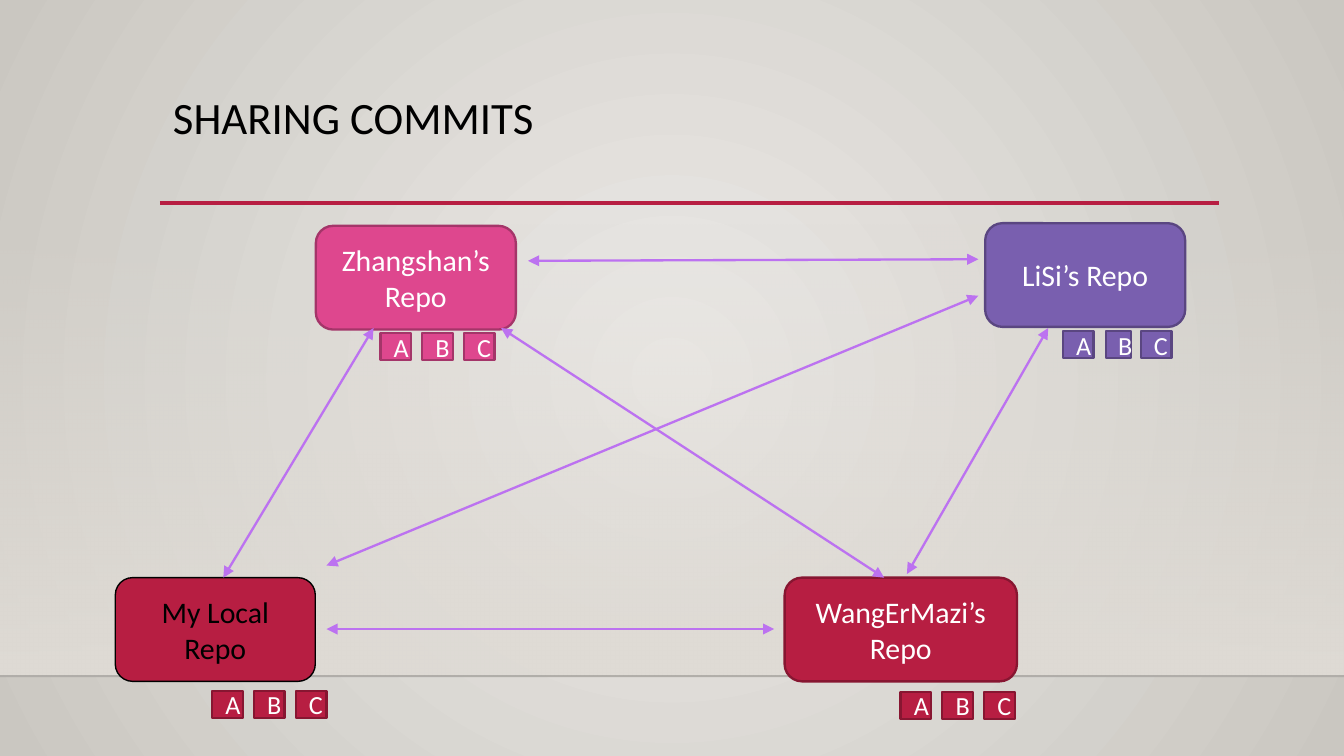
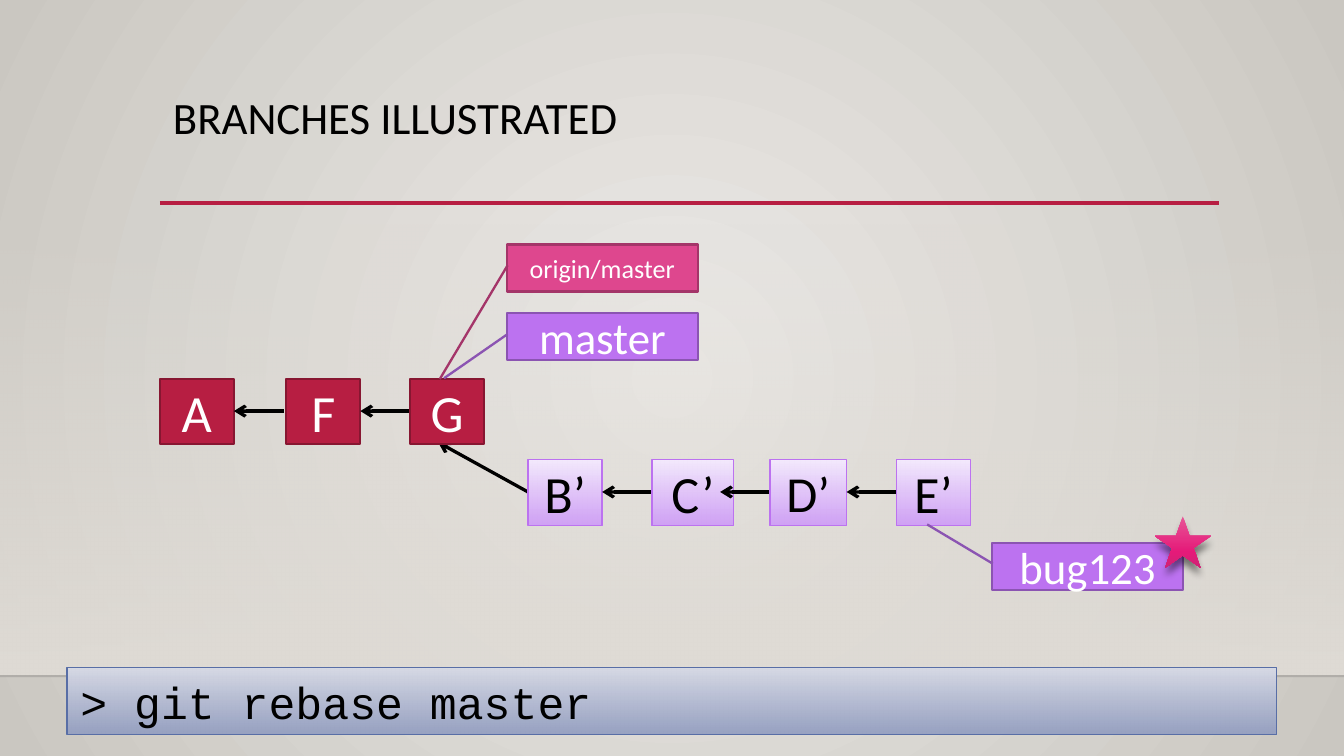
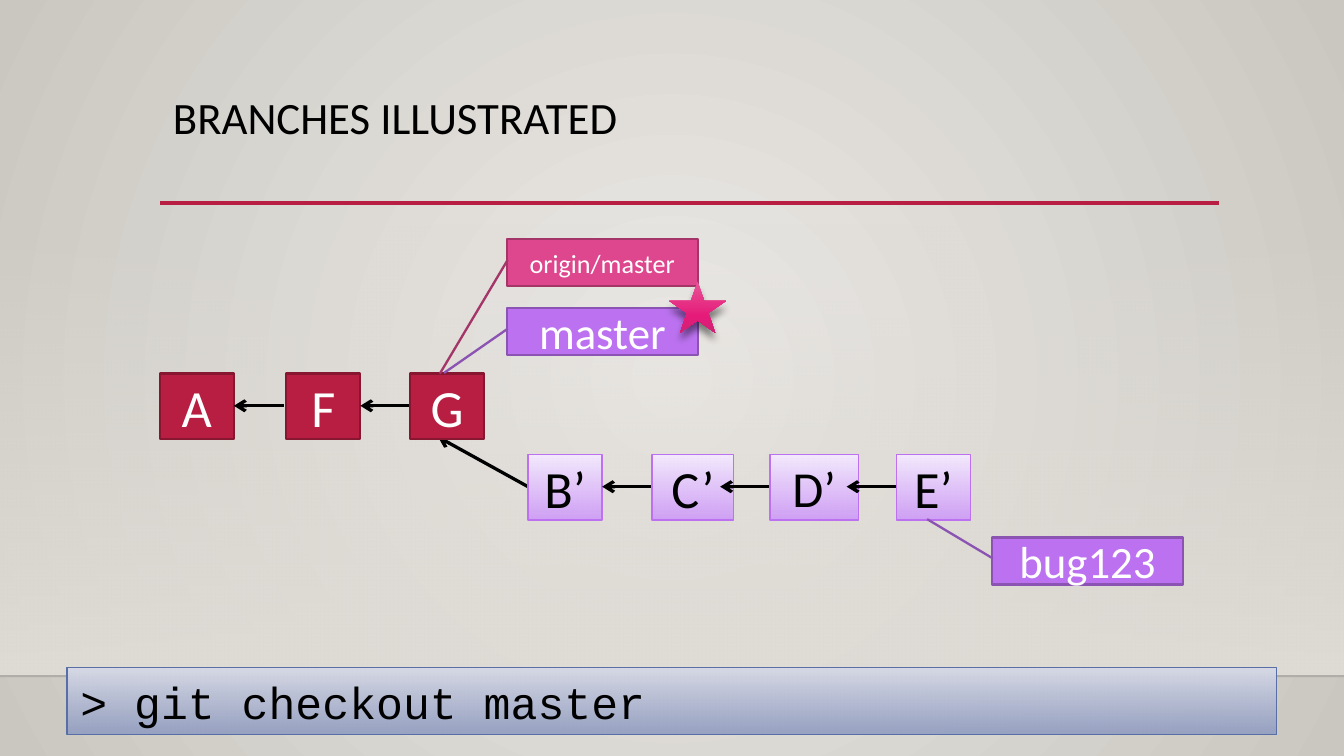
from collections import namedtuple
from dataclasses import dataclass

from lxml import etree
from pptx import Presentation, util as u
from pptx.dml.color import RGBColor
from pptx.enum import shapes, text
from pptx.oxml import ns

Look = namedtuple("Look", "fill line width ink", defaults=("FFFFFF",))
Stop = namedtuple("Stop", "at color alpha", defaults=(100,))
Commit = namedtuple("Commit", "label left width link size", defaults=(28,))
Repo = namedtuple("Repo", "owner left top width look commits commits_top commits_look")
Pointer = namedtuple("Pointer", "left top look size leader")

SHAPE = shapes.MSO_SHAPE
ANCHOR = text.MSO_ANCHOR


@dataclass(frozen=True)
class Theme:
    body_font: str = "Calibri"
    code_font: str = "Courier New"
    title_size: int = 24
    repo_size: int = 16
    small_size: int = 14
    ink: str = "000000"
    accent: str = "B71E42"
    share: str = "BC72F0"
    page: tuple = (Stop(0, "ECEAE7"), Stop(100, "CAC7C1"))
    haze: tuple = (Stop(0, "DFDBD5", 0), Stop(100, "DFDBD5"))
    red: Look = Look("B71E42", "871631", 1.25)
    local: Look = Look("B71E42", "000000", 0.75, "000000")
    pink: Look = Look("DE478E", "A43569", 1.25)
    violet: Look = Look("795FAF", "5A4681", 1.25)
    branch: Look = Look("BC72F0", "8B54B2", 1.25)
    rebased: Look = Look((Stop(0, "F4EAFD"), Stop(100, "CE9CF7", 92)), "BC72F0", 0.75, "000000")
    command: Look = Look((Stop(0, "D6D9E5"), Stop(100, "929DC0", 92)), "586EA6", 0.75, "000000")
    star: Look = Look((Stop(0, "E75597"), Stop(69, "E51A79"), Stop(100, "CF2374")), None, 0)


THEME = Theme()


def rgb(color):
    return RGBColor.from_string(color)


def set_all(target, formats):
    for name, value in formats.items():
        setattr(target, name, value)


def child(parent, tag, **attributes):
    return etree.SubElement(parent, ns.qn(tag), {k: str(v) for k, v in attributes.items()})


def add_color(parent, color, alpha=100):
    node = child(parent, "a:srgbClr", val=color)
    if alpha < 100:
        child(node, "a:alpha", val=alpha * 1000)


def fill_gradient(owner, fill, stops, radial=False):
    """Fill with stops running downwards, or outwards from the centre."""
    fill.gradient()
    gradient = next(owner.element.iter(ns.qn("a:gradFill")))
    gradient.clear()
    stop_list = child(gradient, "a:gsLst")
    for stop in stops:
        add_color(child(stop_list, "a:gs", pos=stop.at * 1000), stop.color, stop.alpha)
    if radial:
        circle = child(gradient, "a:path", path="circle")
        child(circle, "a:fillToRect", **dict.fromkeys("ltrb", 50000))
    else:
        child(gradient, "a:lin", ang=5400000, scaled=0)


class Deck:
    def __init__(self, theme):
        self.theme = theme
        self.prs = Presentation()
        self.prs.slide_width, self.prs.slide_height = u.Cm(25.4), u.Cm(14.29)
        self.slide = None

    def start_slide(self, title):
        theme = self.theme
        self.slide = self.prs.slides.add_slide(self.prs.slide_layouts[6])
        fill_gradient(self.slide, self.slide.background.fill, theme.page, radial=True)
        self.box((0, 4.22, 25.4, 8.56), Look(theme.haze, None, 0))
        self.line((0, 12.78), (25.4, 12.78), "000001", 1, alpha=20)
        self.line((3.02, 3.84), (23.04, 3.84), theme.accent, 2.5)
        heading = self.slide.shapes.add_textbox(*map(u.Cm, (3.02, 1.68, 20.02, 2.18)))
        self.label(heading, title, theme.title_size, theme.ink, align="LEFT",
                   anchor=ANCHOR.TOP, line_spacing=0.9)

    def label(self, shape, words, size, ink, font=None, align="CENTER",
              anchor=ANCHOR.MIDDLE, line_spacing=None):
        frame = shape.text_frame
        frame.text = words
        paragraph = frame.paragraphs[0]
        set_all(frame, {"word_wrap": True, "vertical_anchor": anchor})
        set_all(paragraph, {"alignment": text.PP_ALIGN[align], "line_spacing": line_spacing})
        run_font = paragraph.runs[0].font
        set_all(run_font, {"name": font or self.theme.body_font, "size": u.Pt(size)})
        run_font.color.rgb = rgb(ink)

    def box(self, place, look, words="", size=0, kind=SHAPE.RECTANGLE, **formats):
        shape = self.slide.shapes.add_shape(kind, *map(u.Cm, place))
        shape.shadow.inherit = False
        if isinstance(look.fill, str):
            shape.fill.solid()
            shape.fill.fore_color.rgb = rgb(look.fill)
        else:
            fill_gradient(shape, shape.fill, look.fill)
        if look.line:
            shape.line.color.rgb = rgb(look.line)
            shape.line.width = u.Pt(look.width)
        else:
            shape.line.fill.background()
        if words:
            self.label(shape, words, size, look.ink, **formats)
        return shape

    def line(self, start, end, color, width, alpha=100, head=None, tail=None):
        connector = self.slide.shapes.add_connector(
            shapes.MSO_CONNECTOR.STRAIGHT, *map(u.Cm, (*start, *end)))
        connector.line.width = u.Pt(width)
        connector.line.color.rgb = rgb(color)
        properties = connector.element.spPr
        stroke = properties.find(ns.qn("a:ln"))
        if alpha < 100:
            child(next(stroke.iter(ns.qn("a:srgbClr"))), "a:alpha", val=alpha * 1000)
        for tag, arrow in (("a:headEnd", head), ("a:tailEnd", tail)):
            if arrow:
                child(stroke, tag, type=arrow)
        child(properties, "a:effectLst")

    def pointer(self, name, pointer, top):
        """Name a branch in a callout whose leader reaches its commit."""
        callout = self.box((pointer.left, top, 3.61, 0.89), pointer.look, name,
                           pointer.size, SHAPE.LINE_CALLOUT_1)
        for index, value in enumerate((0.446, 0.004, *pointer.leader)):
            callout.adjustments[index] = value

    def star(self, left, top):
        star = self.box((left, top, 1.07, 0.97), self.theme.star, kind=SHAPE.STAR_5_POINT)
        effects = star.element.spPr.find(ns.qn("a:effectLst"))
        shadow = child(effects, "a:outerShdw", blurRad=u.Pt(4), dist=u.Pt(4),
                       dir=5400000, rotWithShape=0)
        add_color(shadow, "000000", 48)

    def commit_row(self, commits, top, look):
        """Draw commits left to right, each with an arrow back to its parent."""
        middle = top + 0.61
        for commit in commits:
            if commit.link:
                start, end = commit.link
                self.line((start, middle), (end, middle), self.theme.ink, 1.75, tail="arrow")
            self.box((commit.left, top, commit.width, 1.24), look, commit.label, commit.size)

    def command(self, words):
        self.box((1.27, 12.62, 22.86, 1.27), self.theme.command, words, self.theme.title_size,
                 font=self.theme.code_font, align="LEFT", anchor=ANCHOR.TOP)


def evenly(left):
    """Left edge and width of three small commits."""
    return [(left + 0.79 * step, 0.58) for step in range(3)]


REPOS = (
    Repo("My Local Repo", 2.18, 10.92, 3.78, THEME.local, evenly(4.01), 13.06, THEME.red),
    Repo("Zhangshan’s Repo", 5.97, 4.27, 3.78, THEME.pink, evenly(7.19), 6.3, THEME.pink),
    Repo("WangErMazi’s Repo", 14.83, 10.92, 4.39, THEME.red, evenly(17.02), 13.08, THEME.red),
    Repo("LiSi’s Repo", 18.62, 4.22, 3.78, THEME.violet,
         [(20.09, 0.58), (20.9, 0.48), (21.56, 0.58)], 6.26, THEME.violet),
)
SHARES = (
    ((4.22, 10.92), (7.06, 6.2)),
    ((16.71, 10.92), (9.47, 6.2)),
    ((6.17, 11.89), (14.63, 11.89)),
    ((17.14, 10.85), (19.81, 6.2)),
    ((9.98, 4.93), (18.49, 4.9)),
    ((6.17, 10.69), (18.49, 5.59)),
)
MAIN_COMMITS = (
    Commit("A", 3.02, 1.4, None),
    Commit("F", 5.41, 1.4, (5.36, 4.42)),
    Commit("G", 7.75, 1.4, (7.75, 6.81)),
)
POINTERS = {
    "master": Pointer(9.58, 5.92, THEME.branch, 24, (1.383, -0.329)),
    "bug123": Pointer(18.75, 10.26, THEME.branch, 24, (-0.389, -0.34)),
    "origin/master": Pointer(9.58, 4.62, THEME.pink, 14, (2.86, -0.351)),
}


def sharing_slide(deck):
    theme = deck.theme
    deck.start_slide("SHARING COMMITS")
    for repo in REPOS:
        deck.box((repo.left, repo.top, repo.width, 1.96), repo.look, repo.owner,
                 theme.repo_size, SHAPE.ROUNDED_RECTANGLE)
        for label, (left, width) in zip("ABC", repo.commits):
            deck.box((left, repo.commits_top, width, 0.51), repo.commits_look, label,
                     theme.small_size)
    for start, end in SHARES:
        deck.line(start, end, theme.share, 1.25, head="triangle", tail="triangle")


def branches_slide(deck, command, current, rise, d_width):
    """Show the rebased branch, with a star on the current one."""
    deck.start_slide("BRANCHES ILLUSTRATED")
    rebased_commits = (
        Commit("B’", 9.98, 1.4, None),
        Commit("C’", 12.32, 1.55, (12.32, 11.38)),
        Commit("D’", 14.55, d_width, (14.55, 13.61), 27),
        Commit("E’", 16.94, 1.4, (16.94, 16.0)),
    )
    deck.line((9.98, 9.3 - rise), (8.28, 8.36 - rise), deck.theme.ink, 1.75, tail="arrow")
    deck.commit_row(rebased_commits, 8.69 - rise, deck.theme.rebased)
    deck.commit_row(MAIN_COMMITS, 7.16 - rise, deck.theme.red)
    for name, pointer in POINTERS.items():
        deck.pointer(name, pointer, pointer.top - rise)
    deck.command(command)
    marked = POINTERS[current]
    deck.star(marked.left + 3.07, marked.top - rise - 0.5)


def main():
    deck = Deck(THEME)
    sharing_slide(deck)
    branches_slide(deck, "> git rebase master", "bug123", rise=0, d_width=1.45)
    branches_slide(deck, "> git checkout master", "master", rise=0.1, d_width=1.68)
    deck.prs.save("out.pptx")


if __name__ == "__main__":
    main()
